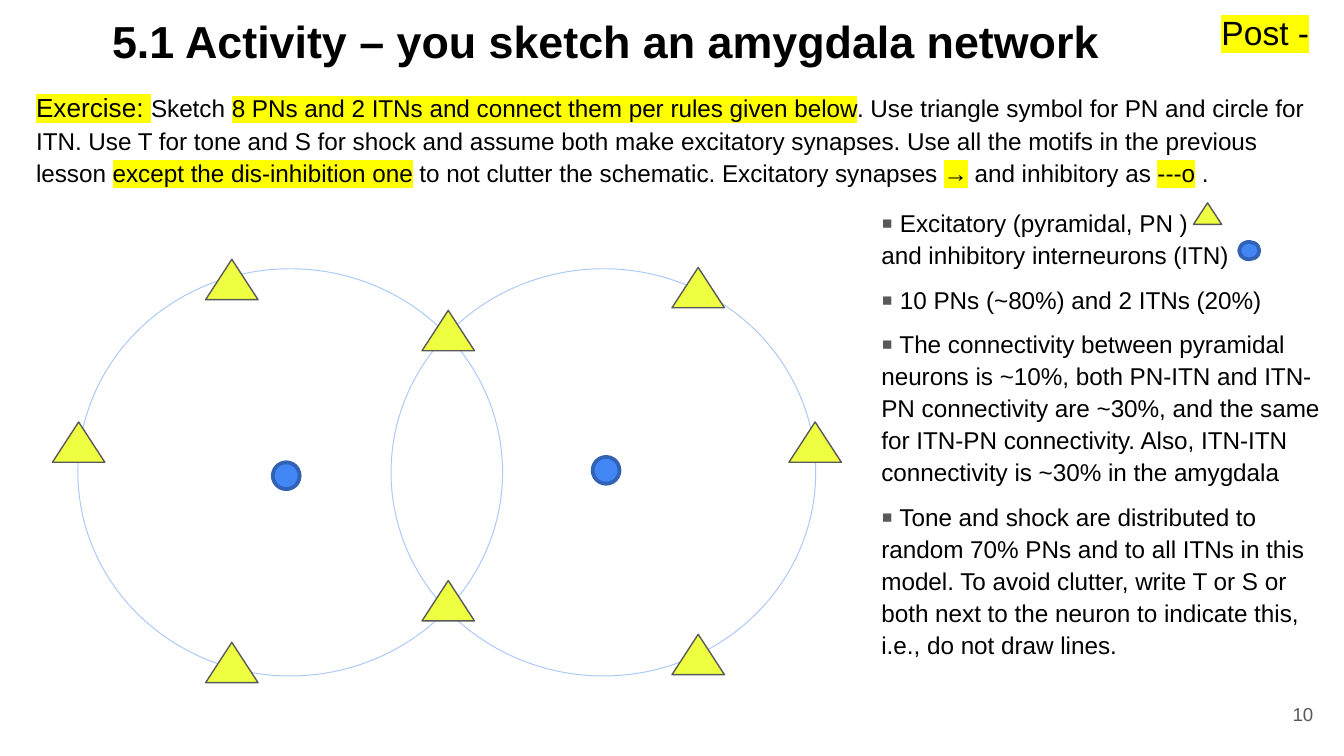
import pptx
import pptx.util
import pptx.dml.color
import pptx.enum.shapes
import pptx.enum.text
from pptx.oxml.ns import qn
from lxml import etree

Inches, Pt = pptx.util.Inches, pptx.util.Pt
SHAPE = pptx.enum.shapes.MSO_SHAPE
ALIGN, ANCHOR = pptx.enum.text.PP_ALIGN, pptx.enum.text.MSO_ANCHOR


class Theme:
    font = "Arial"
    text, grey, mark = "000000", "595959", "FFFF00"
    ring, pn, itn, itn_line = "AAC8FA", "EEFF41", "4285F4", "3162B5"
    title, tag, lead, body, number = 24, 18, 14, 13, 10
    line_spacing, gap = 1.1, 6.6


def rgb(value):
    return pptx.dml.color.RGBColor.from_string(value)


def set_attrs(obj, values):
    for name, value in values.items():
        setattr(obj, name, value)


def add_box(s, box, inset_y=0.1, **frame):
    tf = s.shapes.add_textbox(*map(Inches, box)).text_frame
    set_attrs(tf, {"word_wrap": True, "margin_left": Inches(0.1),
                   "margin_right": Inches(0.1), "margin_top": Inches(inset_y),
                   "margin_bottom": Inches(inset_y), **frame})
    return tf


def add_run(p, text, size, color=Theme.text, bold=False, marked=False):
    r = p.add_run()
    r.text = text
    r.font.color.rgb = rgb(color)
    set_attrs(r.font, {"size": Pt(size), "bold": bold, "name": Theme.font})
    if marked:
        highlight = etree.Element(qn("a:highlight"))
        etree.SubElement(highlight, qn("a:srgbClr"), val=Theme.mark)
        r.font._element.find(qn("a:latin")).addprevious(highlight)


def add_bullet(p):
    pPr = p._p.get_or_add_pPr()
    pPr.set("marL", "0")
    pPr.set("indent", str(Inches(-0.1)))
    color = etree.SubElement(pPr, qn("a:buClr"))
    etree.SubElement(color, qn("a:srgbClr"), val=Theme.grey)
    etree.SubElement(pPr, qn("a:buSzPct"), val="138000")
    etree.SubElement(pPr, qn("a:buFont"), typeface=Theme.font)
    etree.SubElement(pPr, qn("a:buChar"), char="▪")


def add_figure(s, kind, box, line, width, fill=None):
    sp = s.shapes.add_shape(kind, *map(Inches, box))
    sp.shadow.inherit = False
    if fill:
        sp.fill.solid()
        sp.fill.fore_color.rgb = rgb(fill)
    else:
        sp.fill.background()
    sp.line.color.rgb = rgb(line)
    sp.line.width = Pt(width)


def add_pn(s, x, y, w=0.39, h=0.3):
    add_figure(s, SHAPE.ISOSCELES_TRIANGLE, (x, y, w, h), Theme.grey, 0.75, Theme.pn)


def add_itn(s, x, y, w=0.2, h=0.2):
    add_figure(s, SHAPE.OVAL, (x, y, w, h), Theme.itn_line, 2, Theme.itn)


def add_label(s, box, text, size, align=ALIGN.LEFT, frame=None, **run):
    p = add_box(s, box, **(frame or {})).paragraphs[0]
    p.alignment = align
    add_run(p, text, size, **run)


def add_exercise(s, box):
    p = add_box(s, box, inset_y=0.05).paragraphs[0]
    p.line_spacing = Theme.line_spacing
    add_run(p, "Exercise: ", Theme.lead, marked=True)
    parts = [
        "Sketch ",
        "8 PNs and 2 ITNs and connect them per rules given below",
        ". Use triangle symbol for PN and circle for ITN. Use T for tone and S for "
        "shock and assume both make excitatory synapses. Use all the motifs in the "
        "previous lesson ",
        "except the dis-inhibition one",
        " to not clutter the schematic. Excitatory synapses ",
        "→",
        " and inhibitory as ",
        "---o",
        " .",
    ]
    # Plain and highlighted parts alternate
    for i, text in enumerate(parts):
        add_run(p, text, Theme.body, marked=i % 2 == 1)


def add_network(s, box):
    x, y, w, h = box
    # Two overlapping rings
    for dx in (0.19, 2.52):
        add_figure(s, SHAPE.OVAL, (x + dx, y + 0.07, 3.16, 3.03), Theme.ring, 0.5)
    # Pyramidal neurons on the rings
    for dx, dy in [(0, 1.21), (1.14, 0), (1.14, 2.85), (2.75, 2.39),
                   (2.75, 0.38), (4.61, 0.06), (5.48, 1.21), (4.61, 2.79)]:
        add_pn(s, x + dx, y + dy)
    # Interneurons in the middle of each ring
    for dx, dy in [(1.64, 1.51), (4.02, 1.47)]:
        add_itn(s, x + dx, y + dy)


def add_rules(s, box):
    x, y, w, h = box
    tf = add_box(s, box)
    # Text, bulleted, space before in points
    rules = [
        (" Excitatory (pyramidal, PN )", True, 0),
        ("and inhibitory interneurons (ITN)", False, 0),
        (" 10 PNs (~80%) and 2 ITNs (20%)", True, Theme.gap),
        (" The connectivity between pyramidal neurons is ~10%, both PN-ITN and "
         "ITN-PN connectivity are ~30%, and the same for ITN-PN connectivity. "
         "Also, ITN-ITN connectivity is ~30% in the amygdala", True, Theme.gap),
        (" Tone and shock are distributed to random 70% PNs and to all ITNs in "
         "this model. To avoid clutter, write T or S or both next to the neuron "
         "to indicate this, i.e., do not draw lines.", True, Theme.gap),
    ]
    for i, (text, bulleted, gap) in enumerate(rules):
        p = tf.add_paragraph() if i else tf.paragraphs[0]
        set_attrs(p, {"line_spacing": Theme.line_spacing, "space_before": Pt(gap)})
        if bulleted:
            add_bullet(p)
        add_run(p, text, Theme.body)
    # Symbol key beside the first two lines
    add_pn(s, x + 2.42, y + 0.08, 0.21, 0.16)
    add_itn(s, x + 2.76, y + 0.37, 0.15, 0.13)


def main():
    prs = pptx.Presentation()
    # Widescreen 16:9
    width = Inches(10)
    set_attrs(prs, {"slide_width": width, "slide_height": width * 9 // 16})
    s = prs.slides.add_slide(prs.slide_layouts[6])
    add_label(s, (0.62, 0, 7.77, 0.6), "5.1 Activity – you sketch an amygdala network",
              Theme.title, ALIGN.CENTER, bold=True)
    add_exercise(s, (0.17, 0.61, 9.67, 0.82))
    add_label(s, (9.27, 5.1, 0.6, 0.43), "10", Theme.number, ALIGN.RIGHT,
              {"vertical_anchor": ANCHOR.MIDDLE}, color=Theme.grey)
    add_network(s, (0.39, 1.93, 5.87, 3.15))
    add_rules(s, (6.46, 1.43, 3.54, 3.76))
    add_label(s, (8.99, 0.04, 0.86, 0.4), "Post -", Theme.tag,
              frame={"inset_y": 0.05, "word_wrap": False}, marked=True)
    prs.save("out.pptx")


if __name__ == "__main__":
    main()
